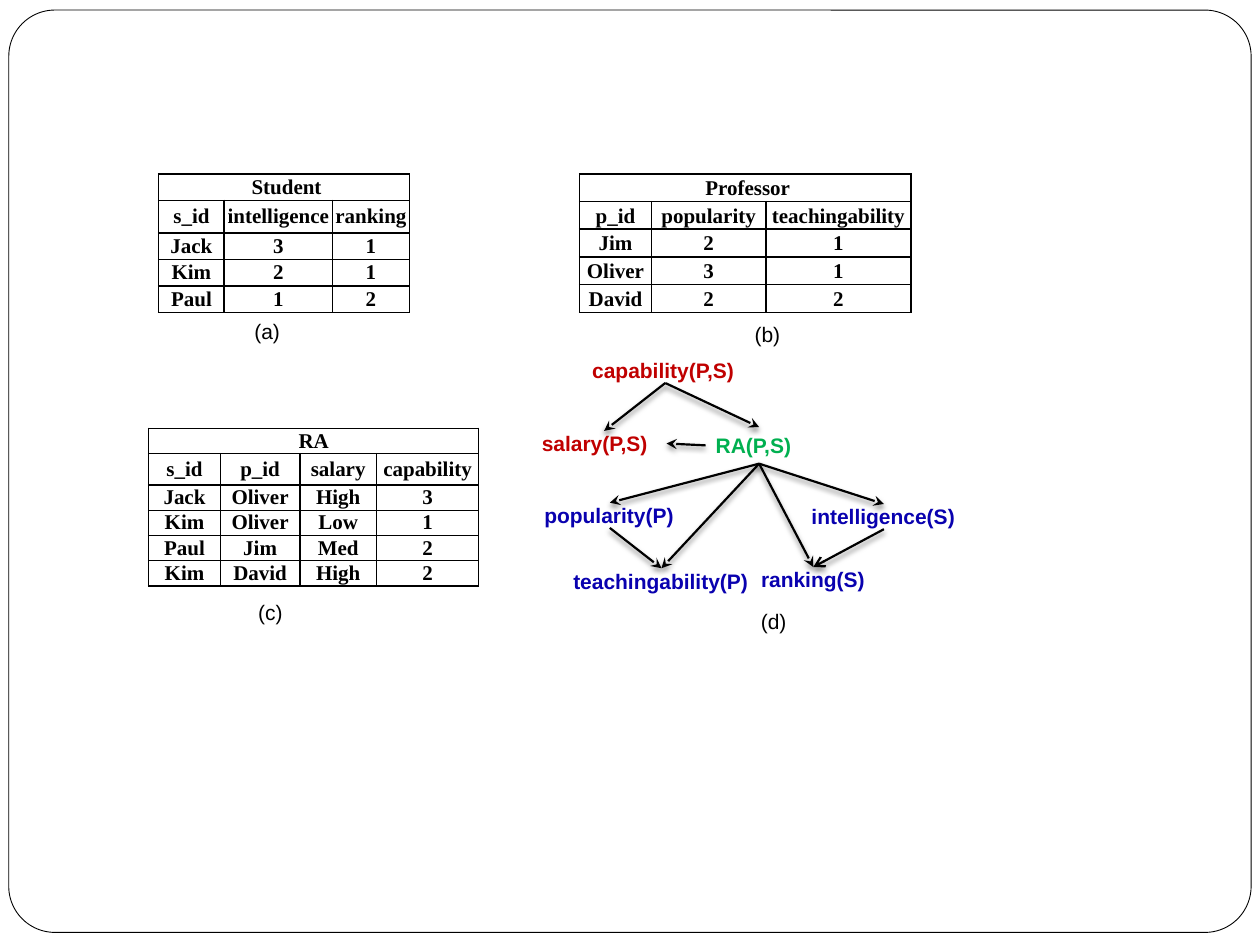
"""Builds a slide with three relational tables and their dependency graph."""
import dataclasses
import typing

import pptx
import pptx.dml.color
import pptx.enum.shapes
import pptx.enum.text
import pptx.oxml
import pptx.oxml.ns
import pptx.util

COLUMNS, ROWS = 1000, 750
SHAPES = pptx.enum.shapes.MSO_SHAPE
MIDDLE = pptx.enum.text.MSO_ANCHOR.MIDDLE
ALIGN = pptx.enum.text.PP_ALIGN
SIDES = {"top": 0, "left": 1, "bottom": 2, "right": 3}


@dataclasses.dataclass(frozen=True)
class Theme:
    ink: str = "000000"
    paper: str = "FFFFFF"
    target: str = "C00000"
    relation: str = "00B050"
    attribute: str = "0901AF"
    table_font: str = "Times New Roman"
    label_font: str = "Arial"
    size: float = 12
    frame_line: float = 0.5
    node_line: float = 0.75
    border: float = 1
    arrow_line: float = 1.25


class Area(typing.NamedTuple):
    column: float
    row: float
    width: float
    height: float


@dataclasses.dataclass(frozen=True)
class Relation:
    column: float
    row: float
    widths: typing.Sequence[float]
    heights: typing.Sequence[float]
    title: str
    records: typing.Sequence[str]
    side_inset: float = 0
    top_inset: float = 0
    title_shift: float = 0


class Node(typing.NamedTuple):
    text: str
    area: Area
    color: str
    wraps: bool = False
    indent: float = 0


class Arrow(typing.NamedTuple):
    source: str
    target: str
    leaving: str = "bottom"
    entering: str = "top"
    head: str = "stealth"


THEME = Theme()
FRAME = Area(7, 8, 986, 732)
RELATIONS = [
    Relation(126, 138, (52, 86, 61), (21, 26, 21, 21, 21), "Student",
             ("s_id intelligence ranking", "Jack 3 1", "Kim 2 1", "Paul 1 2"),
             side_inset=1, title_shift=4),
    Relation(118, 340, (57, 63, 61, 81), (20, 25, 20, 20, 20, 20), "RA",
             ("s_id p_id salary capability", "Jack Oliver High 3",
              "Kim Oliver Low 1", "Paul Jim Med 2", "Kim David High 2")),
    Relation(460, 138, (57, 91, 115), (22,) * 5, "Professor",
             ("p_id popularity teachingability", "Jim 2 1", "Oliver 3 1", "David 2 2"),
             side_inset=1, top_inset=1, title_shift=4),
]
CAPTIONS = {"(a)": (192, 248), "(d)": (594, 478), "(c)": (195, 471), "(b)": (589, 250)}
NODES = [
    Node("RA(P,S)", Area(560, 339, 85, 29), THEME.relation, True, 8),
    Node("capability(P,S)", Area(470, 284, 116, 20), THEME.target),
    Node("popularity(P)", Area(432, 399, 104, 20), THEME.attribute),
    Node("salary(P,S)", Area(430, 342, 99, 20), THEME.target, True),
    Node("ranking(S)", Area(604, 450, 83, 20), THEME.attribute),
    Node("teachingability(P)", Area(455, 451, 140, 20), THEME.attribute),
    Node("intelligence(S)", Area(644, 400, 115, 20), THEME.attribute),
]
ARROWS = [
    Arrow("capability(P,S)", "RA(P,S)"),
    Arrow("capability(P,S)", "salary(P,S)"),
    Arrow("RA(P,S)", "intelligence(S)"),
    Arrow("RA(P,S)", "popularity(P)"),
    Arrow("RA(P,S)", "teachingability(P)"),
    Arrow("RA(P,S)", "ranking(S)"),
    Arrow("popularity(P)", "teachingability(P)"),
    Arrow("RA(P,S)", "salary(P,S)", "left", "right"),
    Arrow("intelligence(S)", "ranking(S)", head="arrow"),
]


def across(deck, columns: float) -> int:
    return int(deck.slide_width * columns / COLUMNS)


def down(deck, rows: float) -> int:
    return int(deck.slide_height * rows / ROWS)


def place(deck, area: Area) -> tuple:
    return (across(deck, area.column), down(deck, area.row),
            across(deck, area.width), down(deck, area.height))


def apply(target, values: dict) -> None:
    for name, value in values.items():
        setattr(target, name, value)


def paint(color_format, color: str) -> None:
    color_format.rgb = pptx.dml.color.RGBColor.from_string(color)


def write(frame, text: str, font: str, color: str, bold: bool, align) -> None:
    para = frame.paragraphs[0]
    para.alignment = align
    span = para.add_run()
    span.text = text
    apply(span.font, {"name": font, "size": pptx.util.Pt(THEME.size), "bold": bold})
    paint(span.font.color, color)


def xml(text: str):
    return pptx.oxml.parse_xml(text.replace(" ", f" {pptx.oxml.ns.nsdecls('a')} ", 1))


def draw_box(deck, page, kind, area: Area, line_color: str, line_width: float):
    box = page.shapes.add_shape(kind, *place(deck, area))
    box.shadow.inherit = False
    box.fill.background()
    paint(box.line.color, line_color)
    box.line.width = pptx.util.Pt(line_width)
    return box


def draw_relation(deck, page, relation: Relation) -> None:
    area = Area(relation.column, relation.row, sum(relation.widths), sum(relation.heights))
    table = page.shapes.add_table(
        len(relation.heights), len(relation.widths), *place(deck, area)).table
    apply(table, {"first_row": False, "horz_banding": False})
    for column, width in zip(table.columns, relation.widths):
        column.width = across(deck, width)
    for row, height in zip(table.rows, relation.heights):
        row.height = down(deck, height)
    table.cell(0, 0).merge(table.cell(0, len(relation.widths) - 1))
    lines = [[relation.title]] + [record.split() for record in relation.records]
    inset = across(deck, relation.side_inset)
    for row, words in zip(table.rows, lines):
        for index, cell in enumerate(row.cells):
            apply(cell, {"margin_left": inset, "margin_right": inset, "margin_bottom": 0,
                         "margin_top": down(deck, relation.top_inset),
                         "vertical_anchor": MIDDLE})
            for side in "LRTB":
                cell._tc.get_or_add_tcPr().append(xml(
                    f'<a:ln{side} w="{pptx.util.Pt(THEME.border)}"><a:solidFill>'
                    f'<a:srgbClr val="{THEME.ink}"/></a:solidFill></a:ln{side}>'))
            cell.fill.background()
            if index < len(words):
                write(cell.text_frame, words[index], THEME.table_font, THEME.ink,
                      True, ALIGN.CENTER)
    table.cell(0, 0).margin_left = inset + across(deck, relation.title_shift)


def draw_caption(deck, page, text: str, column: float, row: float) -> None:
    box = page.shapes.add_textbox(*place(deck, Area(column, row, 62, 30)))
    apply(box.text_frame, {"word_wrap": True,
                           "auto_size": pptx.enum.text.MSO_AUTO_SIZE.SHAPE_TO_FIT_TEXT})
    write(box.text_frame, text, THEME.label_font, THEME.ink, False, ALIGN.LEFT)


def draw_node(deck, page, node: Node):
    box = draw_box(deck, page, SHAPES.RECTANGLE, node.area, THEME.paper, THEME.node_line)
    apply(box.text_frame, {"margin_left": across(deck, node.indent), "margin_right": 0,
                           "margin_top": 0, "margin_bottom": 0,
                           "vertical_anchor": MIDDLE, "word_wrap": node.wraps})
    write(box.text_frame, node.text, THEME.label_font, node.color, True, ALIGN.LEFT)
    return box


def draw_arrow(page, arrow: Arrow, boxes: dict) -> None:
    line = page.shapes.add_connector(pptx.enum.shapes.MSO_CONNECTOR.STRAIGHT, 0, 0, 0, 0)
    line.begin_connect(boxes[arrow.source], SIDES[arrow.leaving])
    line.end_connect(boxes[arrow.target], SIDES[arrow.entering])
    paint(line.line.color, THEME.ink)
    line.line.width = pptx.util.Pt(THEME.arrow_line)
    line.line._get_or_add_ln().append(xml(f'<a:tailEnd type="{arrow.head}"/>'))
    line._element.spPr.append(xml(
        f'<a:effectLst ><a:outerShdw blurRad="{pptx.util.Pt(3)}" dist="{pptx.util.Pt(2)}" '
        f'dir="5400000" rotWithShape="0"><a:srgbClr val="{THEME.ink}">'
        '<a:alpha val="50000"/></a:srgbClr></a:outerShdw></a:effectLst>'))


def main() -> None:
    deck = pptx.Presentation()
    apply(deck, {"slide_width": pptx.util.Inches(10), "slide_height": pptx.util.Inches(7.5)})
    page = deck.slides.add_slide(deck.slide_layouts[6])
    frame = draw_box(deck, page, SHAPES.ROUNDED_RECTANGLE, FRAME, THEME.ink, THEME.frame_line)
    frame.adjustments[0] = 0.05
    frame.fill.solid()
    paint(frame.fill.fore_color, THEME.paper)
    for relation in RELATIONS:
        draw_relation(deck, page, relation)
    for text, (column, row) in CAPTIONS.items():
        draw_caption(deck, page, text, column, row)
    boxes = {node.text: draw_node(deck, page, node) for node in NODES}
    for arrow in ARROWS:
        draw_arrow(page, arrow, boxes)
    deck.save("out.pptx")


if __name__ == "__main__":
    main()
